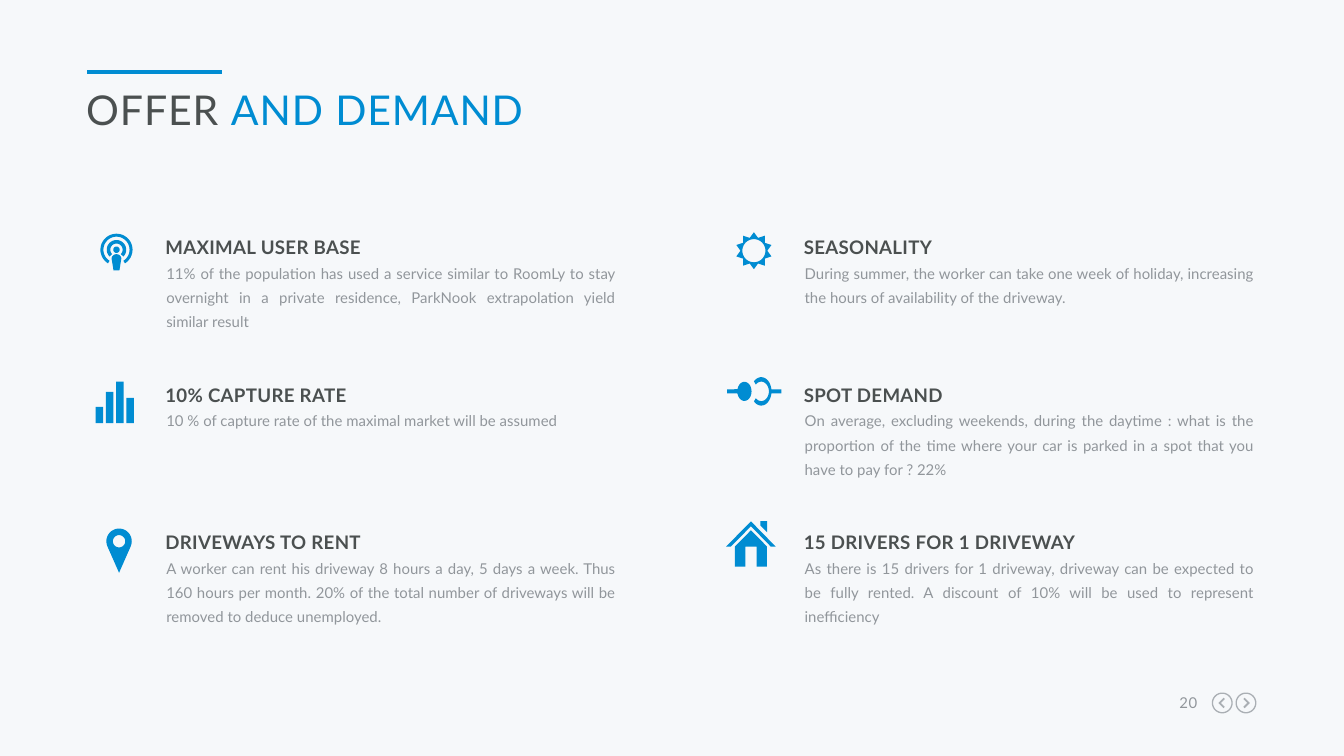
"""Build the "Offer and demand" slide with six icon-led statements."""
from dataclasses import dataclass
from math import cos, radians, sin

from lxml import etree
from pptx import Presentation
from pptx.dml.color import RGBColor
from pptx.enum.shapes import MSO_CONNECTOR
from pptx.enum.text import MSO_ANCHOR, MSO_AUTO_SIZE, PP_ALIGN
from pptx.oxml.ns import qn
from pptx.util import Pt

LEFT, RIGHT, JUSTIFY = PP_ALIGN.LEFT, PP_ALIGN.RIGHT, PP_ALIGN.JUSTIFY
TOP, NO_AUTOFIT = MSO_ANCHOR.TOP, MSO_AUTO_SIZE.NONE
STRAIGHT = MSO_CONNECTOR.STRAIGHT

FONT = "Lato"
BLUE, DARK, GREY, LIGHT, PAPER = "008CD2", "4B5050", "91969B", "AAAFB4", "F6F8FA"
COLUMN_LEFT, COLUMN_STEP, COLUMN_WIDTH = 88.6, 342, 241.5
ROW_TOP, ROW_STEP, BODY_DROP = 121.6, 79, 16.6

Points = list[tuple[float, float]]


@dataclass
class TextStyle:
    size: float
    color: str
    bold: bool = False
    tracking: float = 0
    align: PP_ALIGN = LEFT
    line: float | None = None
    after: float = 0


@dataclass
class Statement:
    heading: str
    body: str
    icon: list[Points]


HEADING = TextStyle(10, DARK, bold=True, tracking=0.2, line=17, after=6)
BODY = TextStyle(8, GREY, align=JUSTIFY, line=13, after=6)
PAGE_NUMBER = TextStyle(8, GREY, tracking=0.3, align=RIGHT)
TITLE = TextStyle(22, DARK, tracking=0.5)


def rgb(color: str) -> RGBColor:
    return RGBColor.from_string(color)


def arc(x: float, y: float, rx: float, ry: float, start: float = 0, end: float = 360) -> Points:
    steps = 40
    angles = [radians(start + (end - start) * step / steps) for step in range(steps + 1)]
    return [(x + rx * cos(angle), y + ry * sin(angle)) for angle in angles]


def circle(x: float, y: float, radius: float) -> Points:
    return arc(x, y, radius, radius)


def open_ring(x: float, y: float, outer: float, inner: float, gap: float) -> Points:
    start, end = 90 + gap, 450 - gap
    return arc(x, y, outer, outer, start, end) + arc(x, y, inner, inner, end, start)


def bars_icon() -> list[Points]:
    left, base, width, step = 51.2, 226.7, 4, 5.5
    outlines = []
    for index, top in enumerate([218, 210, 204.5, 213.2]):
        x = left + index * step
        outlines.append([(x, top), (x + width, top), (x + width, base), (x, base)])
    return outlines


def antenna_icon() -> list[Points]:
    x, y = 62.4, 133.8
    stem = arc(x, 138.6, 2.6, 2.4, 180, 360) + [(64, 144.8), (60.8, 144.8)]
    return [open_ring(x, y, 8.6, 7, 32), open_ring(x, y, 5.2, 3.3, 45), stem, circle(x, y, 1.7)]


def sun_icon() -> list[Points]:
    x, y, teeth = 403.9, 134.3, 10
    rays = []
    for index in range(2 * teeth):
        radius = 7.2 if index % 2 else 9.9
        angle = radians(index * 180 / teeth - 90)
        rays.append((x + radius * cos(angle), y + radius * sin(angle)))
    return [rays, circle(x, y, 6.2)]


def pin_icon() -> list[Points]:
    x, y = 63.8, 290
    return [arc(x, y, 6.8, 6.8, 154, 386) + [(x, 306.9)], circle(x, y, 3.3)]


def house_icon() -> list[Points]:
    roof = [(389, 292.8), (402.3, 279.3), (415.5, 292.8), (412.9, 292.8),
            (402.3, 281.9), (391.6, 292.8)]
    walls = [(393.7, 292.8), (402.3, 284.1), (410.9, 292.8), (410.9, 303.6), (405.3, 303.6),
             (405.3, 292.8), (399.3, 292.8), (399.3, 303.6), (393.7, 303.6)]
    chimney = [(407.4, 281.6), (407.4, 279.2), (411, 279.2), (411, 285.2)]
    return [roof, walls, chimney]


def plug_icon() -> list[Points]:
    y, top, bottom = 209.7, 208.6, 210.8
    plug = [(389.5, top)] + arc(398.8, y, 3.8, 5.1, 193, 527) + [(389.5, bottom)]
    socket = (arc(407.8, y, 5.5, 7.6, -135, -8) + [(418.6, top), (418.6, bottom)]
              + arc(407.8, y, 5.5, 7.6, 8, 135) + arc(407.8, y, 4.1, 5.2, 135, -135))
    return [plug, socket]


def button_icon(x: float, direction: int) -> list[Points]:
    y = 376.6
    chevron = [(-1.4, -2.1), (-0.7, -2.8), (2.1, 0), (-0.7, 2.8), (-1.4, 2.1), (0.7, 0)]
    return [circle(x, y, 5.6), circle(x, y, 4.9),
            [(x + direction * dx, y + dy) for dx, dy in chevron]]


def draw_icon(slide, outlines: list[Points], color: str) -> None:
    points = [[(Pt(x), Pt(y)) for x, y in outline] for outline in outlines]
    builder = slide.shapes.build_freeform(*points[0][0])
    builder.add_line_segments(points[0][1:])
    for outline in points[1:]:
        builder.move_to(*outline[0])
        builder.add_line_segments(outline[1:])
    shape = builder.convert_to_shape()
    shape.shadow.inherit = False
    shape.fill.solid()
    shape.fill.fore_color.rgb = rgb(color)
    shape.line.fill.background()


def format_frame(frame, style: TextStyle) -> None:
    frame.word_wrap = True
    frame.auto_size = NO_AUTOFIT
    frame.vertical_anchor = TOP
    frame.margin_left = frame.margin_right = frame.margin_top = frame.margin_bottom = 0
    for paragraph in frame.paragraphs:
        paragraph.alignment = style.align
        paragraph.space_after = Pt(style.after)
        if style.line:
            paragraph.line_spacing = Pt(style.line)
        for run in paragraph.runs:
            run.font.name = FONT
            run.font.size = Pt(style.size)
            run.font.bold = style.bold
            run.font.color.rgb = rgb(style.color)
            run._r.get_or_add_rPr().set("spc", str(round(style.tracking * 100)))


def draw_text(slide, text: str, left: float, top: float, width: float, height: float,
              style: TextStyle) -> None:
    box = slide.shapes.add_textbox(Pt(left), Pt(top), Pt(width), Pt(height))
    box.text_frame.text = text
    format_frame(box.text_frame, style)


def draw_title(slide) -> None:
    title = slide.shapes.title
    title.left, title.top, title.width, title.height = Pt(46.2), Pt(45.4), Pt(626.4), Pt(30.2)
    paragraph = title.text_frame.paragraphs[0]
    paragraph.text = "OFFER "
    accent = paragraph.add_run()
    accent.text = "AND DEMAND"
    format_frame(title.text_frame, TITLE)
    accent.font.color.rgb = rgb(BLUE)

    rule = slide.shapes.add_connector(STRAIGHT, Pt(46.8), Pt(38.7), Pt(118.8), Pt(38.7))
    rule.line.color.rgb = rgb(BLUE)
    rule.line.width = Pt(2.25)
    etree.SubElement(rule._element.spPr, qn("a:effectLst"))


def draw_statement(slide, statement: Statement, column: int, row: int) -> None:
    left, top = COLUMN_LEFT + column * COLUMN_STEP, ROW_TOP + row * ROW_STEP
    draw_text(slide, statement.heading, left, top, COLUMN_WIDTH, 17, HEADING)
    draw_text(slide, statement.body, left + 0.5, top + BODY_DROP, COLUMN_WIDTH - 0.5, 39.6, BODY)
    draw_icon(slide, statement.icon, BLUE)


COLUMNS = [
    [
        Statement("MAXIMAL USER BASE", "11% of the population has used a service similar to RoomLy to stay overnight in a private residence, ParkNook extrapolation yield similar result", antenna_icon()),
        Statement("10% CAPTURE RATE", "10 % of capture rate of the maximal market will be assumed", bars_icon()),
        Statement("DRIVEWAYS TO RENT", "A worker can rent his driveway 8 hours a day, 5 days a week. Thus 160 hours per month. 20% of the total number of driveways will be removed to deduce unemployed.", pin_icon()),
    ],
    [
        Statement("SEASONALITY", "During summer, the worker can take one week of holiday, increasing the hours of availability of the driveway.", sun_icon()),
        Statement("SPOT DEMAND", "On average, excluding weekends, during the daytime : what is the proportion of the time where your car is parked in a spot that you have to pay for ? 22%", plug_icon()),
        Statement("15 DRIVERS FOR 1 DRIVEWAY", "As there is 15 drivers for 1 driveway, driveway can be expected to be fully rented. A discount of 10% will be used to represent inefficiency", house_icon()),
    ],
]


def main() -> None:
    presentation = Presentation()
    presentation.slide_width, presentation.slide_height = Pt(720), Pt(405)
    slide = presentation.slides.add_slide(presentation.slide_layouts[5])
    slide.background.fill.solid()
    slide.background.fill.fore_color.rgb = rgb(PAPER)
    draw_title(slide)
    for column, statements in enumerate(COLUMNS):
        for row, statement in enumerate(statements):
            draw_statement(slide, statement, column, row)
    draw_text(slide, "20", 625, 371.5, 16.5, 9.6, PAGE_NUMBER)
    for x, direction in [(654.8, -1), (667.5, 1)]:
        draw_icon(slide, button_icon(x, direction), LIGHT)
    presentation.save("out.pptx")


if __name__ == "__main__":
    main()
